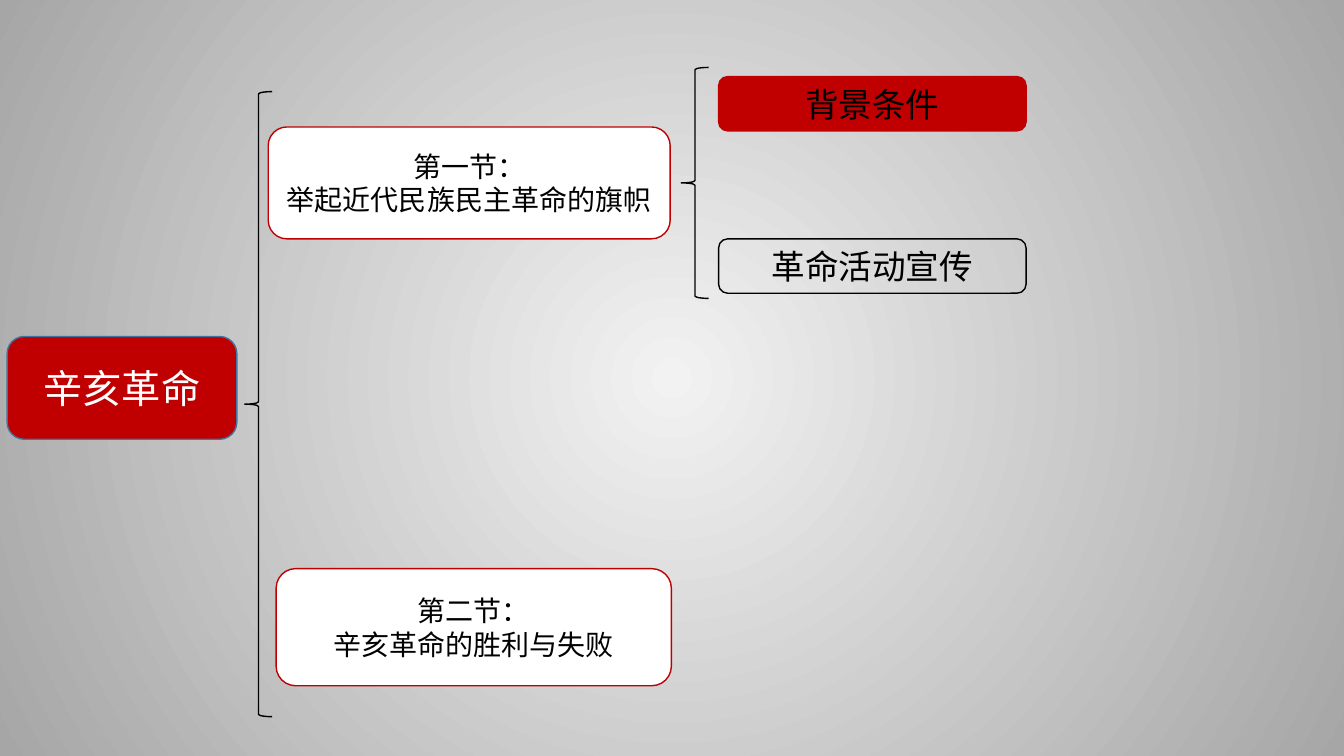
from dataclasses import dataclass
from typing import Optional

from lxml.etree import SubElement
from pptx import Presentation
from pptx.dml.color import RGBColor
from pptx.enum.shapes import MSO_SHAPE as Shape
from pptx.enum.text import MSO_ANCHOR as Anchor, PP_ALIGN as Align
from pptx.oxml import parse_xml
from pptx.oxml.ns import nsdecls, qn
from pptx.util import Cm, Pt

FONT = "Noto Sans CJK SC"
COLORS = {
    "red": "C00000",
    "blue": "43739E",
    "white": "FFFFFF",
    "black": "000000",
    "center": "F2F2F2",
    "edge": "A6A6A6",
}


@dataclass
class Box:
    """A rounded box of the outline; lengths in centimetres."""
    lines: list[str]
    left: float
    top: float
    width: float
    height: float
    size: int
    fill: Optional[str]
    line: str
    color: str = "black"


@dataclass
class Brace:
    left: float
    top: float
    height: float
    width: float = 0.69


TOPIC_X, TOPIC_W, TOPIC_H = 18.11, 7.75, 1.37

# Back to front
PARTS = [
    Box(["辛亥革命"], 0.18, 8.48, 5.79, 2.59, 28, "red", "blue", "white"),
    Brace(6.17, 2.31, 15.75),
    Box(["第一节：", "举起近代民族民主革命的旗帜"],
        6.76, 3.2, 10.13, 2.82, 20, "white", "red"),
    Box(["第二节：", "辛亥革命的胜利与失败"],
        6.96, 14.33, 9.96, 2.95, 20, "white", "red"),
    Brace(17.17, 1.7, 5.82),
    Box(["背景条件"], TOPIC_X, 1.93, TOPIC_W, TOPIC_H, 24, "red", "red"),
    Box(["革命活动宣传"], TOPIC_X, 6.02, TOPIC_W, TOPIC_H, 24, None, "black"),
]


def rgb(name: str) -> RGBColor:
    return RGBColor.from_string(COLORS[name])


def paint_background(s) -> None:
    """Radial gradient from the centre of the slide."""
    fill = s.background.fill
    fill.gradient()
    for stop, name in zip(fill.gradient_stops, ("center", "edge")):
        stop.color.rgb = rgb(name)
    grad = s.element.find(".//" + qn("a:gradFill"))
    radial = parse_xml(
        f'<a:path {nsdecls("a")} path="circle">'
        '<a:fillToRect l="50000" t="50000" r="50000" b="50000"/></a:path>')
    grad.replace(grad.find(qn("a:lin")), radial)


def add_outline(s, kind: Shape, part: Box | Brace, fill: Optional[str], line: str):
    sp = s.shapes.add_shape(kind, Cm(part.left), Cm(part.top),
                            Cm(part.width), Cm(part.height))
    sp.shadow.inherit = False
    if fill:
        sp.fill.solid()
        sp.fill.fore_color.rgb = rgb(fill)
    else:
        sp.fill.background()
    sp.line.color.rgb = rgb(line)
    sp.line.width = Pt(1)
    return sp


def write(p, text: str, *, size: int, color: str) -> None:
    p.alignment = Align.CENTER
    r = p.add_run()
    r.text = text
    r.font.size = Pt(size)
    r.font.color.rgb = rgb(color)
    r.font.name = FONT
    SubElement(r.font._element, qn("a:ea"), typeface=FONT)


def add_box(s, box: Box) -> None:
    sp = add_outline(s, Shape.ROUNDED_RECTANGLE, box, box.fill, box.line)
    tf = sp.text_frame
    tf.word_wrap = True
    tf.vertical_anchor = Anchor.MIDDLE
    for i, text in enumerate(box.lines):
        p = tf.add_paragraph() if i else tf.paragraphs[0]
        write(p, text, size=box.size, color=box.color)


def main() -> None:
    prs = Presentation()
    prs.slide_width, prs.slide_height = Cm(33.87), Cm(19.05)
    s = prs.slides.add_slide(prs.slide_layouts[6])
    paint_background(s)
    for part in PARTS:
        if isinstance(part, Box):
            add_box(s, part)
        else:
            add_outline(s, Shape.LEFT_BRACE, part, None, "black")
    prs.save("out.pptx")


if __name__ == "__main__":
    main()
